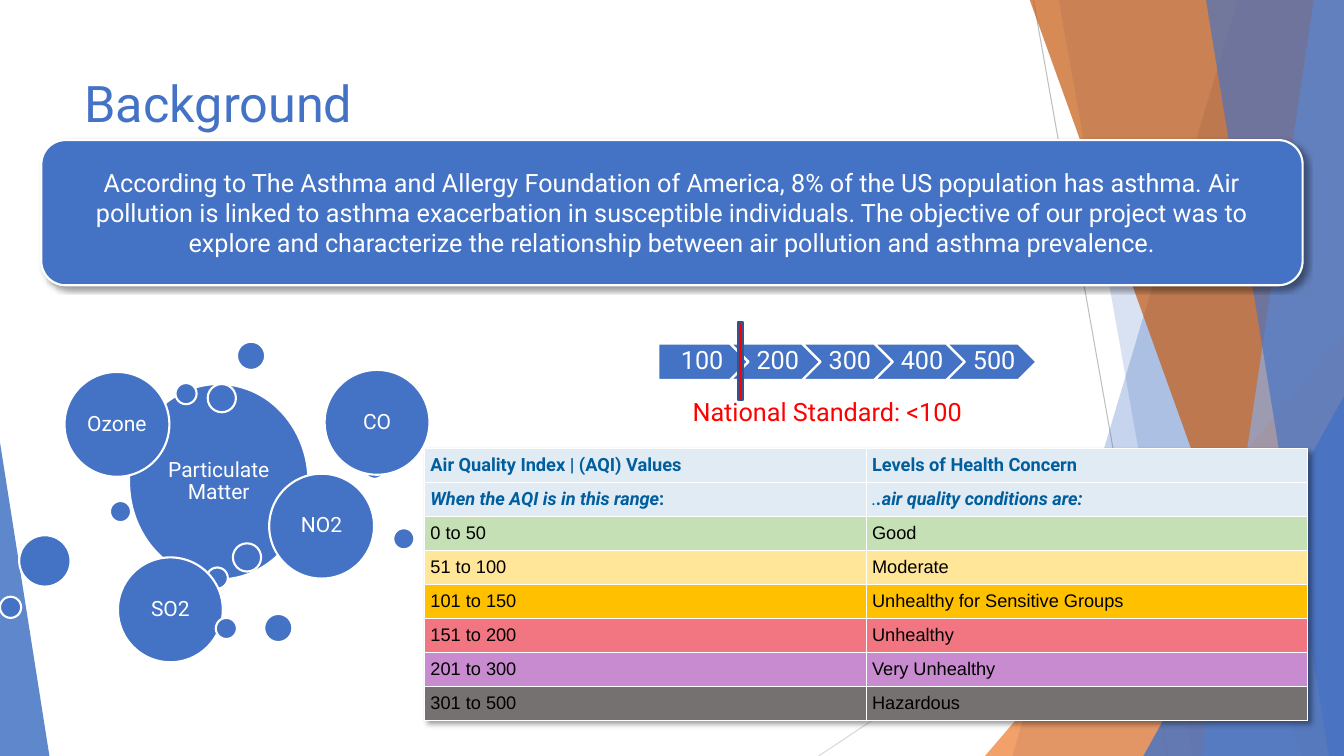
from lxml import etree
from pptx import Presentation
from pptx.dml.color import RGBColor
from pptx.enum.shapes import MSO_CONNECTOR, MSO_SHAPE
from pptx.enum.text import MSO_ANCHOR, PP_ALIGN
from pptx.oxml.ns import qn
from pptx.util import Inches, Pt

BLUE = RGBColor(0x44, 0x72, 0xC4)
PALE_BLUE = RGBColor(0x8F, 0xAA, 0xDC)
DARK_BLUE = RGBColor(0x32, 0x54, 0x91)
HEADER_BLUE = RGBColor(0x00, 0x5E, 0x9E)
HEADER_FILL = RGBColor(0xE1, 0xEB, 0xF4)
ORANGE = RGBColor(0xED, 0x7D, 0x31)
RUST = RGBColor(0xC5, 0x5A, 0x11)
RED = RGBColor(0xFF, 0x00, 0x00)
WHITE = RGBColor(0xFF, 0xFF, 0xFF)
BLACK = RGBColor(0x00, 0x00, 0x00)
LIGHT_GRAY = RGBColor(0xD9, 0xD9, 0xD9)
MID_GRAY = RGBColor(0xBF, 0xBF, 0xBF)

SLIDE_WIDTH, SLIDE_HEIGHT = 13.33, 7.5

BANNER_TEXT = (
    "According to The Asthma and Allergy Foundation of America, 8% of the US population "
    "has asthma. Air pollution is linked to asthma exacerbation in susceptible individuals. "
    "The objective of our project was to explore and characterize the relationship between "
    "air pollution and asthma prevalence."
)

# Left, top, width, height, label; listed from back to front
BUBBLES = [
    (1.28, 3.81, 1.78, 1.94, "Particulate Matter"),
    (2.35, 3.39, 0.28, 0.28, ""),
    (1.68, 5.87, 0.21, 0.21, ""),
    (3.61, 4.54, 0.21, 0.21, ""),
    (2.62, 6.09, 0.28, 0.28, ""),
    (1.74, 3.80, 0.21, 0.21, ""),
    (1.09, 4.97, 0.21, 0.21, ""),
    (0.64, 3.69, 1.04, 1.04, "Ozone"),
    (2.06, 3.81, 0.28, 0.28, ""),
    (0.19, 5.31, 0.51, 0.51, ""),
    (2.67, 4.70, 1.04, 1.04, "NO2"),
    (2.31, 5.39, 0.28, 0.28, ""),
    (0, 5.92, 0.21, 0.21, ""),
    (2.05, 5.63, 0.21, 0.21, ""),
    (3.22, 3.67, 1.04, 1.04, "CO"),
    (3.90, 5.24, 0.21, 0.21, ""),
    (1.17, 5.53, 1.04, 1.04, "SO2"),
    (2.14, 6.13, 0.21, 0.21, ""),
]

AQI_LEVELS = [
    ("0 to 50", "Good", RGBColor(0xC5, 0xE0, 0xB4)),
    ("51 to 100", "Moderate", RGBColor(0xFF, 0xE6, 0x99)),
    ("101 to 150", "Unhealthy for Sensitive Groups", RGBColor(0xFF, 0xC0, 0x00)),
    ("151 to 200", "Unhealthy", RGBColor(0xF2, 0x76, 0x82)),
    ("201 to 300", "Very Unhealthy", RGBColor(0xC9, 0x8B, 0xCF)),
    ("301 to 500", "Hazardous", RGBColor(0x76, 0x71, 0x71)),
]


def add_xml(parent, tag, **attributes):
    return etree.SubElement(parent, qn(tag), attributes)


def add_outer_shadow(effect_list):
    shadow = add_xml(effect_list, "a:outerShdw", blurRad=str(Pt(4)), dist=str(Pt(3)),
                     dir="2700000", algn="tl", rotWithShape="0")
    color = add_xml(shadow, "a:srgbClr", val="000000")
    add_xml(color, "a:alpha", val="40000")


def set_insets(text_frame, left, top, right, bottom):
    text_frame.margin_left, text_frame.margin_right = Inches(left), Inches(right)
    text_frame.margin_top, text_frame.margin_bottom = Inches(top), Inches(bottom)


def style_run(run, size, color, font="Roboto", bold=False, italic=False):
    run.font.size, run.font.name = Pt(size), font
    run.font.color.rgb = color
    run.font.bold, run.font.italic = bold, italic


def write_text(text_frame, text, size, color=WHITE, align=PP_ALIGN.CENTER,
               anchor=MSO_ANCHOR.MIDDLE, spacing=1.0):
    text_frame.text = text
    text_frame.word_wrap = True
    text_frame.vertical_anchor = anchor
    paragraph = text_frame.paragraphs[0]
    paragraph.alignment, paragraph.line_spacing = align, spacing
    style_run(paragraph.runs[0], size, color)


def style_decoration(shape, color, opacity):
    """Fill a background facet with a see-through colour and no outline."""
    shape.shadow.inherit = False
    shape.fill.solid()
    shape.fill.fore_color.rgb = color
    shape.line.fill.background()
    color_node = shape.fill._xPr.find(qn("a:solidFill"))[0]
    add_xml(color_node, "a:alpha", val=str(opacity * 1000))


def add_thin_line(slide, start, end, color):
    line = slide.shapes.add_connector(MSO_CONNECTOR.STRAIGHT, *map(Inches, start + end))
    line.line.color.rgb, line.line.width = color, Pt(0.75)
    add_xml(line._element.spPr, "a:effectLst")


def add_facet(slide, top_left, bottom_left, bottom_right, color, opacity):
    """Draw a band from the top edge to the bottom edge, ending at the right edge."""
    corners = [(top_left, -0.01), (SLIDE_WIDTH, -0.01),
               (bottom_right, SLIDE_HEIGHT), (bottom_left, SLIDE_HEIGHT)]
    points = [(Inches(x), Inches(y)) for x, y in corners]
    builder = slide.shapes.build_freeform(*points[0], scale=1.0)
    builder.add_line_segments(points[1:], close=True)
    style_decoration(builder.convert_to_shape(), color, opacity)


def add_corner_triangle(slide, box, apex, color, opacity):
    triangle = slide.shapes.add_shape(MSO_SHAPE.ISOSCELES_TRIANGLE, *map(Inches, box))
    triangle.adjustments[0] = apex
    style_decoration(triangle, color, opacity)


def add_background(slide):
    add_thin_line(slide, (10.25, 0), (11.58, SLIDE_HEIGHT), MID_GRAY)
    add_thin_line(slide, (SLIDE_WIDTH, 4.03), (8.12, SLIDE_HEIGHT), LIGHT_GRAY)
    add_facet(slide, 12.28, 10.04, SLIDE_WIDTH, BLUE, 30)
    add_facet(slide, 10.5, 11.83, SLIDE_WIDTH, BLUE, 20)
    add_corner_triangle(slide, (9.77, 3.33, 3.56, 4.17), 1, ORANGE, 72)
    add_facet(slide, 10.21, 12.91, SLIDE_WIDTH, RUST, 70)
    add_facet(slide, 13.03, 11.92, SLIDE_WIDTH, PALE_BLUE, 70)
    add_facet(slide, 11.96, 13.18, SLIDE_WIDTH, BLUE, 65)
    add_corner_triangle(slide, (11.34, 3.93, 1.99, 3.57), 1, BLUE, 80)
    add_corner_triangle(slide, (0, 4.39, 0.49, 3.11), 0, BLUE, 85)


def add_text_box(slide, box, text, size, color, **options):
    text_box = slide.shapes.add_textbox(*map(Inches, box))
    write_text(text_box.text_frame, text, size, color, anchor=MSO_ANCHOR.TOP, **options)


def add_outlined_shape(slide, kind, box, fill=BLUE, line=WHITE):
    shape = slide.shapes.add_shape(kind, *map(Inches, box))
    shape.shadow.inherit = False
    shape.fill.solid()
    shape.fill.fore_color.rgb = fill
    shape.line.color.rgb, shape.line.width = line, Pt(1.5)
    return shape


def add_cell(cell, pieces, fill, **font):
    """Fill a cell with (text, bold, italic) pieces and give it white borders."""
    cell.fill.solid()
    cell.fill.fore_color.rgb = fill
    cell.vertical_anchor = MSO_ANCHOR.MIDDLE
    set_insets(cell, 0.06, 0.06, 0.06, 0.06)
    for text, bold, italic in pieces:
        run = cell.text_frame.paragraphs[0].add_run()
        run.text = text
        style_run(run, 13, bold=bold, italic=italic, **font)
    properties = cell._tc.get_or_add_tcPr()
    for index, side in enumerate(("a:lnL", "a:lnR", "a:lnT", "a:lnB")):
        border = etree.Element(qn(side), w=str(Pt(0.6)))
        add_xml(add_xml(border, "a:solidFill"), "a:srgbClr", val=str(WHITE))
        properties.insert(index, border)


def add_aqi_table(slide):
    headers = [
        ([("Air Quality Index | (AQI) Values", True, False)],
         [("Levels of Health Concern", True, False)]),
        ([("When the AQI is in this range", True, True), (":", True, False)],
         [(".", False, True), (".air quality conditions are:", True, True)]),
    ]
    row_count = len(headers) + len(AQI_LEVELS)
    table = slide.shapes.add_table(row_count, 2, Inches(4.21), Inches(4.45), Inches(8.76),
                                   Inches(0.32 * row_count)).table
    table_properties = table._tbl.tblPr
    effect_list = etree.Element(qn("a:effectLst"))
    table_properties.insert(0, effect_list)
    add_outer_shadow(effect_list)
    for row, cells in enumerate(headers):
        for column, pieces in enumerate(cells):
            add_cell(table.cell(row, column), pieces, HEADER_FILL, color=HEADER_BLUE)
    for row, (*texts, fill) in enumerate(AQI_LEVELS, len(headers)):
        for column, text in enumerate(texts):
            add_cell(table.cell(row, column), [(text, False, False)], fill,
                     color=BLACK, font="Arial")


def add_bubbles(slide):
    for *box, label in BUBBLES:
        bubble = add_outlined_shape(slide, MSO_SHAPE.OVAL, box)
        if label:
            set_insets(bubble.text_frame, 0.06, 0.06, 0.06, 0.06)
            write_text(bubble.text_frame, label, 15, spacing=0.9)


def add_aqi_scale(slide):
    for index in range(5):
        kind = MSO_SHAPE.CHEVRON if index else MSO_SHAPE.PENTAGON
        arrow = add_outlined_shape(slide, kind, (6.53 + 0.715 * index, 3.41, 0.89, 0.36))
        set_insets(arrow.text_frame, 0.08 if index else 0.1, 0.05, 0.03, 0.05)
        write_text(arrow.text_frame, str(100 * (index + 1)), 18, spacing=0.9)
        arrow.text_frame.word_wrap = False
    add_outlined_shape(slide, MSO_SHAPE.RECTANGLE, (7.32, 3.19, 0.05, 0.78), RED, DARK_BLUE)
    add_text_box(slide, (6.53, 3.88, 3.35, 0.4), "National Standard: <100", 18, RED)


def add_banner(slide):
    banner = add_outlined_shape(slide, MSO_SHAPE.ROUNDED_RECTANGLE, (0.41, 1.39, 12.51, 1.44))
    add_outer_shadow(banner._element.spPr.find(qn("a:effectLst")))
    write_text(banner.text_frame, BANNER_TEXT, 18)


def main():
    presentation = Presentation()
    presentation.slide_width = Inches(SLIDE_WIDTH)
    presentation.slide_height = Inches(SLIDE_HEIGHT)
    slide = presentation.slides.add_slide(presentation.slide_layouts[6])
    add_background(slide)
    add_text_box(slide, (0.74, 0.67, 9.4, 1.44), "Background", 36, BLUE, align=PP_ALIGN.LEFT)
    add_aqi_table(slide)
    add_bubbles(slide)
    add_aqi_scale(slide)
    add_banner(slide)
    presentation.save("out.pptx")


if __name__ == "__main__":
    main()
